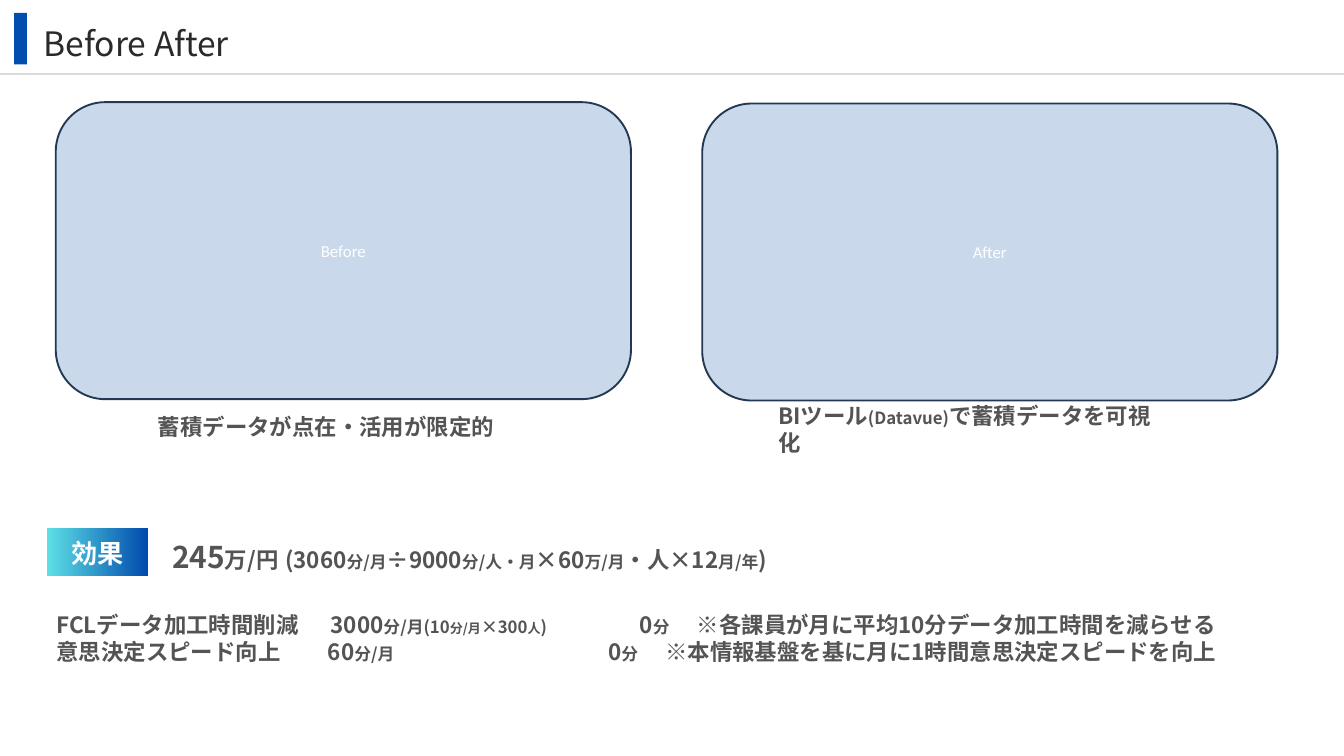
from lxml.etree import SubElement
from pptx import Presentation
from pptx.dml.color import RGBColor
from pptx.enum.shapes import MSO_CONNECTOR, MSO_SHAPE
from pptx.enum.text import MSO_ANCHOR, MSO_AUTO_SIZE, PP_ALIGN
from pptx.oxml.ns import qn
from pptx.util import Inches, Pt

COLORS = {
    "accent": "004EAE", "rule": "D9D9D9", "title": "292B2B", "text": "545454",
    "panel": "4F81BD", "panel_line": "233953", "white": "FFFFFF",
    "gradient_start": "5DE0E6", "gradient_end": "004AAD",
}
JAPANESE_FONT = "Noto Sans CJK JP"
LATIN_FONT = "Calibri"


def color(name):
    return RGBColor.from_string(COLORS[name])


class SlideBuilder:
    def __init__(self, presentation):
        self.slide = presentation.slides.add_slide(presentation.slide_layouts[5])

    def add_runs(self, paragraph, runs, color_name="text", font=JAPANESE_FONT, bold=True):
        """Add (text, size) runs to a paragraph."""
        for text, size in runs:
            run = paragraph.add_run()
            run.text = text
            run.font.name = font
            run.font.size = Pt(size)
            run.font.bold = bold
            run.font.color.rgb = color(color_name)
            SubElement(run._r.get_or_add_rPr(), qn("a:ea"), typeface=font)

    def frame(self, shape, anchor=MSO_ANCHOR.MIDDLE, margin=0.0, grow=True):
        frame = shape.text_frame
        frame.word_wrap = True
        frame.vertical_anchor = anchor
        frame.margin_left = frame.margin_right = Inches(margin)
        frame.margin_top = frame.margin_bottom = Inches(margin)
        frame.auto_size = MSO_AUTO_SIZE.SHAPE_TO_FIT_TEXT if grow else MSO_AUTO_SIZE.NONE
        return frame

    def title(self, text, left, top, width, height):
        title = self.slide.shapes.title
        title.left, title.top = Inches(left), Inches(top)
        title.width, title.height = Inches(width), Inches(height)
        paragraph = self.frame(title, MSO_ANCHOR.TOP).paragraphs[0]
        paragraph.alignment = PP_ALIGN.LEFT
        paragraph.line_spacing = Pt(54)
        self.add_runs(paragraph, [(text, 36)], "title", bold=False)

    def shape(self, kind, left, top, width, height):
        shape = self.slide.shapes.add_shape(
            kind, Inches(left), Inches(top), Inches(width), Inches(height))
        shape.shadow.inherit = False
        return shape

    def bar(self, left, top, width, height):
        bar = self.shape(MSO_SHAPE.RECTANGLE, left, top, width, height)
        bar.fill.solid()
        bar.fill.fore_color.rgb = color("accent")
        bar.line.fill.background()

    def rule(self, top, width):
        rule = self.slide.shapes.add_connector(
            MSO_CONNECTOR.STRAIGHT, 0, Inches(top), Inches(width), Inches(top))
        rule.line.color.rgb = color("rule")
        rule.line.width = Pt(3)
        SubElement(rule._element.spPr, qn("a:effectLst"))

    def panel(self, label, left, top):
        panel = self.shape(MSO_SHAPE.ROUNDED_RECTANGLE, left, top, 8.56, 4.42)
        panel.fill.solid()
        panel.fill.fore_color.rgb = color("panel")
        fill_color = panel._element.spPr.find(qn("a:solidFill"))[0]
        SubElement(fill_color, qn("a:alpha"), val="30000")
        panel.line.color.rgb = color("panel_line")
        panel.line.width = Pt(2)
        paragraph = self.frame(panel, margin=0.1, grow=False).paragraphs[0]
        paragraph.alignment = PP_ALIGN.CENTER
        self.add_runs(paragraph, [(label, 18)], "white", LATIN_FONT, bold=False)

    def text_box(self, left, top, width, height, **frame_options):
        box = self.slide.shapes.add_textbox(
            Inches(left), Inches(top), Inches(width), Inches(height))
        return self.frame(box, **frame_options)

    def text(self, lines, left, top, width, height):
        """Add a box of lines, each a list of runs and a list of tab stops."""
        frame = self.text_box(left, top, width, height)
        for index, (runs, stops) in enumerate(lines):
            paragraph = frame.add_paragraph() if index else frame.paragraphs[0]
            if stops:
                tab_list = SubElement(paragraph._p.get_or_add_pPr(), qn("a:tabLst"))
                for stop in stops:
                    SubElement(tab_list, qn("a:tab"), pos=str(Inches(stop)), algn="l")
            self.add_runs(paragraph, runs)

    def badge(self, label, left, top, width, height):
        badge = self.shape(MSO_SHAPE.RECTANGLE, left, top, width, height)
        badge.fill.gradient()
        badge.fill.gradient_angle = 0
        for stop, name in zip(badge.fill.gradient_stops, ("gradient_start", "gradient_end")):
            stop.color.rgb = color(name)
        badge.line.fill.background()
        frame = self.text_box(left, top + 0.05, width, height, margin=0.06, grow=False)
        paragraph = frame.paragraphs[0]
        paragraph.alignment = PP_ALIGN.CENTER
        paragraph.line_spacing = Pt(29.4)
        self.add_runs(paragraph, [(label, 28)], "white")


def main():
    presentation = Presentation()
    presentation.slide_width = Inches(20)
    presentation.slide_height = Inches(11.25)
    builder = SlideBuilder(presentation)

    builder.bar(0.21, 0.19, 0.19, 0.77)
    builder.rule(1.1, 20)
    builder.title("Before After", 0.65, 0.19, 18.23, 0.7)

    builder.panel("Before", 0.83, 1.52)
    builder.panel("After", 10.45, 1.54)
    builder.text([([("蓄積データが点在・活用が限定的", 24)], [])], 2.35, 6.15, 5.15, 0.4)
    after_caption = [("BIツール", 24), ("(Datavue)", 18), ("で蓄積データを可視化", 24)]
    builder.text([(after_caption, [])], 11.58, 6.18, 5.86, 0.4)

    builder.badge("効果", 0.7, 7.86, 1.5, 0.71)
    saving = [
        ("245", 32), ("万/円", 24), (" ", 32), ("(3060", 24), ("分/月", 18),
        ("÷9000", 24), ("分/人・月", 18), ("×60", 24), ("万/月", 18),
        ("・人×12", 24), ("月/年", 18), (")", 24),
    ]
    builder.text([(saving, [])], 2.56, 8.01, 13.52, 0.54)

    processing = [
        ("FCLデータ加工時間削減\t3000", 24), ("分/月(10", 18), ("分/月", 14),
        ("×300", 18), ("人", 14), (")", 18), ("\t0", 24), ("分", 18),
        ("\t※各課員が月に平均10分データ加工時間を減らせる", 24),
    ]
    decision = [
        ("意思決定スピード向上\t60", 24), ("分/月", 18), ("\t0", 24), ("分", 18),
        ("\t※本情報基盤を基に月に1時間意思決定スピードを向上", 24),
    ]
    builder.text([(processing, [4.08, 8.68, 9.53]), (decision, [4.04, 8.21, 9.06])],
                 0.84, 9.09, 18.58, 0.81)

    presentation.save("out.pptx")


if __name__ == "__main__":
    main()
